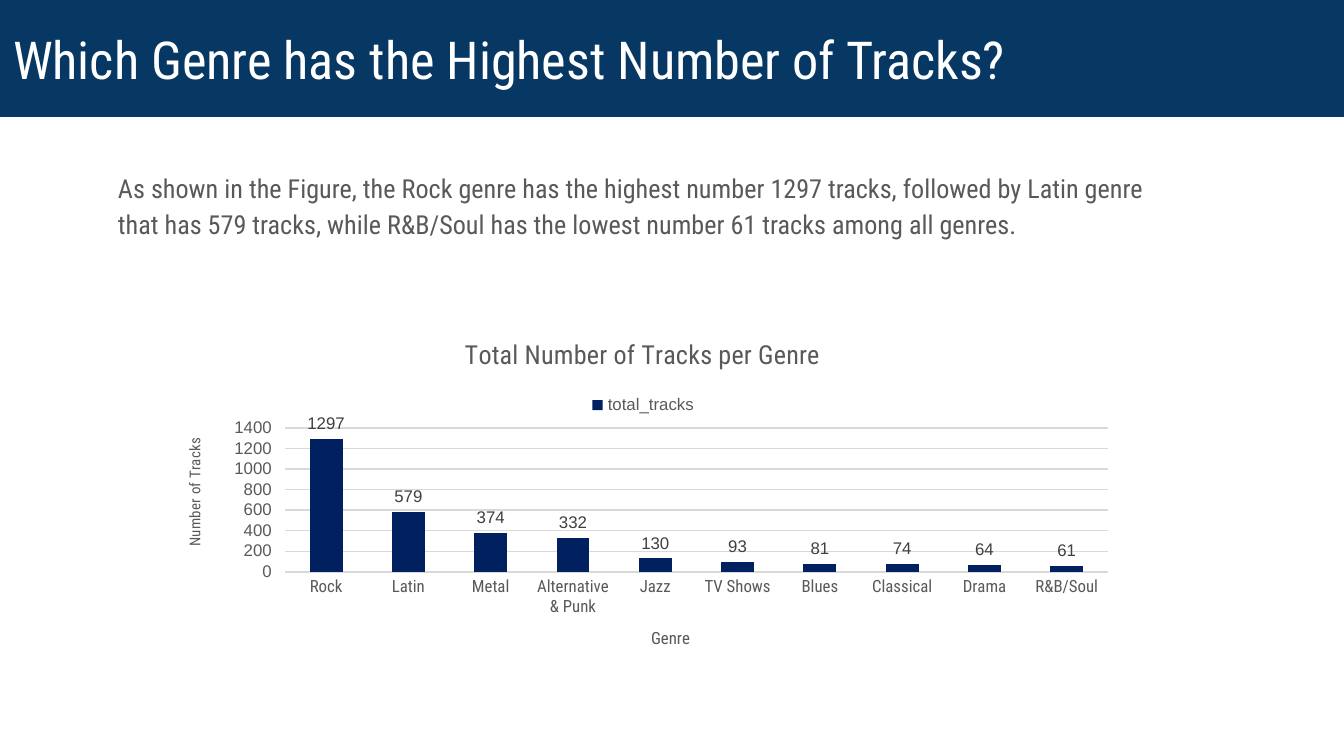
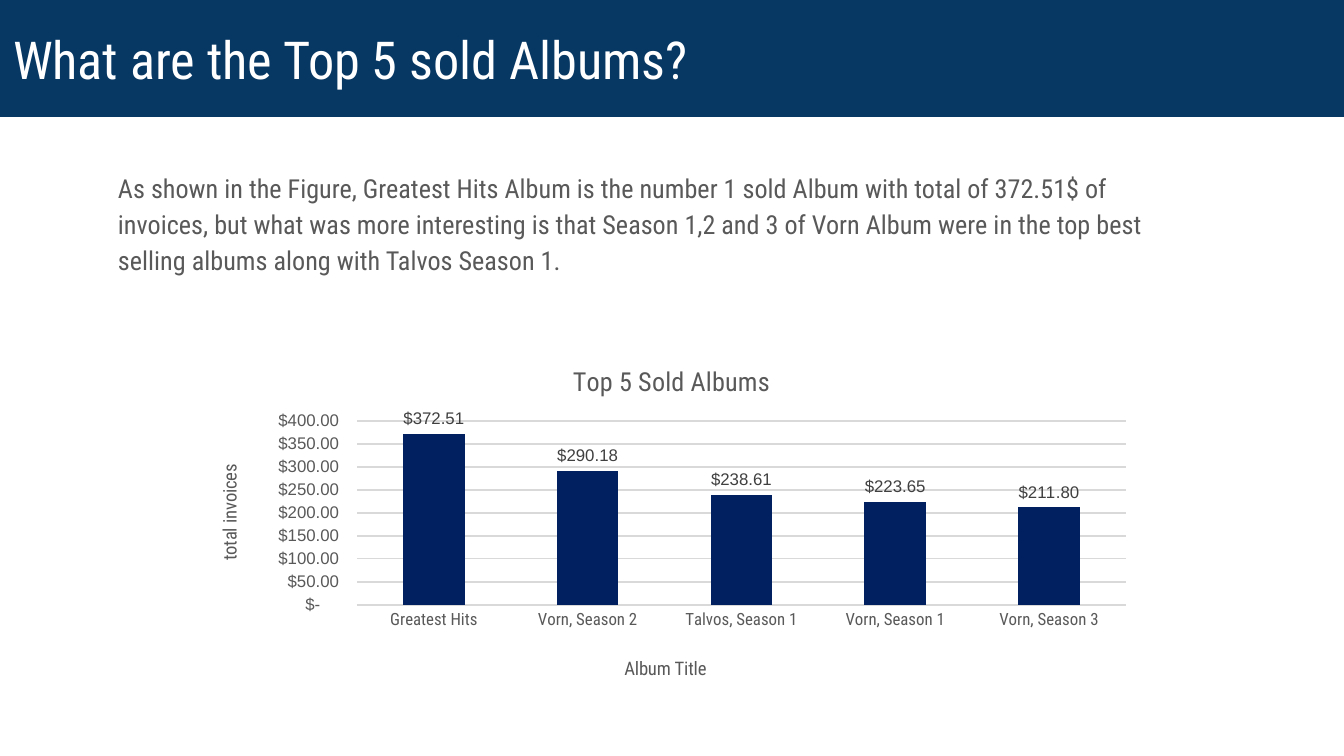
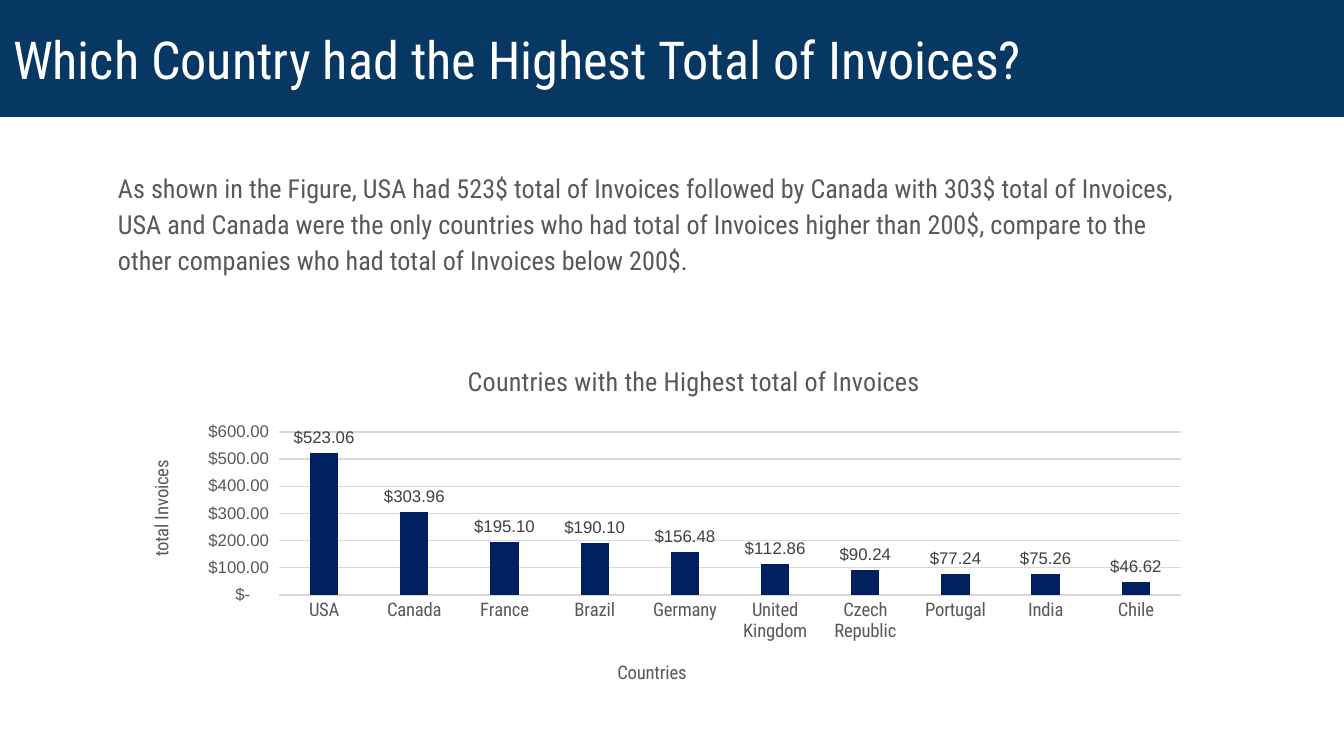
from dataclasses import dataclass
from typing import Optional

from lxml.etree import SubElement
from pptx import Presentation
from pptx.chart.data import CategoryChartData
from pptx.dml.color import RGBColor
from pptx.enum.chart import XL_CHART_TYPE as ChartType
from pptx.enum.chart import XL_LABEL_POSITION as LabelPosition
from pptx.enum.chart import XL_LEGEND_POSITION as LegendPosition
from pptx.enum.chart import XL_TICK_MARK as TickMark
from pptx.enum.text import MSO_ANCHOR as Anchor
from pptx.enum.text import MSO_AUTO_SIZE as AutoSize
from pptx.enum.text import PP_ALIGN as Align
from pptx.oxml.ns import qn
from pptx.util import Emu, Pt

# Shared style
EMU_PER_PIXEL = 914400 / 134.4
SLIDE_WIDTH, SLIDE_HEIGHT = 1344, 756
INSET = 13
BODY_INDENT = 20
COLORS = {
    "band": "073763",
    "title": "FFFFFF",
    "text": "595959",
    "label": "404040",
    "grid": "D9D9D9",
    "bar": "002060",
}
CONDENSED, SANS = "Roboto Condensed", "Arial"
DOLLARS = r'_("$"* #,##0.00_);_("$"* \(#,##0.00\);_("$"* "-"??_);_(@_)'


@dataclass(frozen=True)
class Box:
    left: int
    top: int
    width: int
    height: int


@dataclass(frozen=True)
class Caption:
    text: str
    left: int
    top: int
    size: int = 10


@dataclass(frozen=True)
class ColumnChart:
    frame: Box
    plot: Box
    title: Caption
    category_title: Caption
    value_title: Caption
    values: dict[str, float]
    maximum: int
    unit: int
    series_name: str = "Series 1"
    number_format: str = DOLLARS
    gap: int = 150
    overlap: int = -25
    category_size: int = 9
    value_tick: TickMark = TickMark.OUTSIDE
    legend_at: Optional[tuple[int, int]] = None


@dataclass(frozen=True)
class ChartSlide:
    title: str
    body: str
    chart: ColumnChart


TITLE_BOX = Box(0, 0, SLIDE_WIDTH, 117)
BODY_BOX = Box(85, 155, 1118, 117)


# Helpers
def px(pixels: float) -> Emu:
    return Emu(round(pixels * EMU_PER_PIXEL))


def color(name: str) -> RGBColor:
    return RGBColor.from_string(COLORS[name])


def set_font(font, size: int, color_name: str, name: str = CONDENSED) -> None:
    font.size, font.name, font.bold = Pt(size), name, False
    font.color.rgb = color(color_name)


def fill_placeholder(shape, box: Box, text: str, size: int, color_name: str, anchor: Anchor):
    """Place a placeholder, write its one paragraph and return that paragraph."""
    shape.left, shape.top = px(box.left), px(box.top)
    shape.width, shape.height = px(box.width), px(box.height)
    frame = shape.text_frame
    frame.text = text
    frame.word_wrap, frame.auto_size = True, AutoSize.NONE
    frame.vertical_anchor = anchor
    frame.margin_left = frame.margin_right = px(INSET)
    frame.margin_top = frame.margin_bottom = px(INSET)
    paragraph = frame.paragraphs[0]
    paragraph.alignment = Align.LEFT
    paragraph.space_before = Pt(0)
    set_font(paragraph.font, size, color_name)
    return paragraph


def set_layout(element, frame: Box, left: int, top: int, size: Optional[tuple[int, int]] = None) -> None:
    """Pin a chart part at a slide position, given as a share of the chart frame."""
    layout = element.find(qn("c:layout"))
    if layout is None:
        layout = element.makeelement(qn("c:layout"))
        leading = [child for child in element if child.tag in (qn("c:tx"), qn("c:legendPos"))]
        element.insert(len(leading), layout)
    manual = SubElement(layout, qn("c:manualLayout"))
    settings = {"xMode": "edge", "yMode": "edge"}
    if size:
        settings = {"layoutTarget": "inner"} | settings
    settings["x"] = f"{(left - frame.left) / frame.width:.4f}"
    settings["y"] = f"{(top - frame.top) / frame.height:.4f}"
    if size:
        settings["w"] = f"{size[0] / frame.width:.4f}"
        settings["h"] = f"{size[1] / frame.height:.4f}"
    for tag, value in settings.items():
        SubElement(manual, qn(f"c:{tag}")).set("val", value)


def write_caption(title, caption: Caption, frame: Box) -> None:
    title.text_frame.text = caption.text
    set_font(title.text_frame.paragraphs[0].font, caption.size, "text")
    set_layout(title.element, frame, caption.left, caption.top)


def add_column_chart(slide, design: ColumnChart) -> None:
    data = CategoryChartData(number_format=design.number_format)
    data.categories = list(design.values)
    data.add_series(design.series_name, list(design.values.values()))
    frame, area = design.frame, design.plot
    chart = slide.shapes.add_chart(
        ChartType.COLUMN_CLUSTERED,
        px(frame.left), px(frame.top), px(frame.width), px(frame.height), data,
    ).chart
    chart.font.size, chart.font.name = Pt(10), SANS

    # Titles, plot area and legend
    chart.has_title = True
    write_caption(chart.chart_title, design.title, frame)
    chart.chart_title.include_in_layout = False
    set_layout(chart.element.find(f".//{qn('c:plotArea')}"), frame,
               area.left, area.top, (area.width, area.height))
    chart.has_legend = design.legend_at is not None
    if design.legend_at:
        chart.legend.position = LegendPosition.TOP
        chart.legend.include_in_layout = False
        set_font(chart.legend.font, 9, "text", SANS)
        set_layout(chart.element.find(f".//{qn('c:legend')}"), frame, *design.legend_at)

    # Axes
    categories, values = chart.category_axis, chart.value_axis
    write_caption(categories.axis_title, design.category_title, frame)
    write_caption(values.axis_title, design.value_title, frame)
    rotation = values.axis_title.element.find(f".//{qn('a:bodyPr')}")
    rotation.set("rot", "-5400000")
    rotation.set("vert", "horz")
    set_font(categories.tick_labels.font, design.category_size, "text")
    set_font(values.tick_labels.font, 9, "text", SANS)
    categories.major_tick_mark = TickMark.NONE
    values.major_tick_mark = design.value_tick
    values.minimum_scale, values.maximum_scale = 0, design.maximum
    values.major_unit = design.unit
    values.tick_labels.number_format = design.number_format
    values.tick_labels.number_format_is_linked = False
    values.format.line.fill.background()
    values.has_major_gridlines = True
    for line in (categories.format.line, values.major_gridlines.format.line):
        line.color.rgb = color("grid")
        line.width = Pt(0.75)

    # Columns and their labels
    plot = chart.plots[0]
    plot.vary_by_categories = False
    plot.gap_width, plot.overlap = design.gap, design.overlap
    fill = plot.series[0].format.fill
    fill.solid()
    fill.fore_color.rgb = color("bar")
    plot.has_data_labels = True
    labels = plot.data_labels
    labels.show_value = True
    labels.position = LabelPosition.OUTSIDE_END
    labels.number_format = design.number_format
    labels.number_format_is_linked = False
    set_font(labels.font, 9, "label", SANS)


def add_chart_slide(presentation, content: ChartSlide) -> None:
    slide = presentation.slides.add_slide(presentation.slide_layouts[1])
    title, body = slide.shapes.title, slide.placeholders[1]
    fill_placeholder(title, TITLE_BOX, content.title, 28, "title", Anchor.MIDDLE)
    title.fill.solid()
    title.fill.fore_color.rgb = color("band")

    paragraph = fill_placeholder(body, BODY_BOX, content.body, 14, "text", Anchor.TOP)
    paragraph.line_spacing = 1.15
    properties = paragraph._p.get_or_add_pPr()
    properties.set("marL", str(px(BODY_INDENT)))
    properties.set("indent", "0")
    SubElement(properties, qn("a:buNone"))
    # Bullet settings come before the default run properties
    properties.append(properties.find(qn("a:defRPr")))

    add_column_chart(slide, content.chart)


# Content
SLIDES = [
    ChartSlide(
        "Which Genre has the Highest Number of Tracks?",
        "As shown in the Figure, the Rock genre has the highest number 1297 tracks, "
        "followed by Latin genre that has 579 tracks, while R&B/Soul has the lowest "
        "number 61 tracks among all genres.",
        ColumnChart(
            frame=Box(160, 317, 968, 359),
            plot=Box(285, 428, 823, 144),
            title=Caption("Total Number of Tracks per Genre", 460, 331, 14),
            category_title=Caption("Genre", 648, 624, 9),
            value_title=Caption("Number of Tracks", 182, 435, 8),
            values={
                "Rock": 1297, "Latin": 579, "Metal": 374, "Alternative & Punk": 332,
                "Jazz": 130, "TV Shows": 93, "Blues": 81, "Classical": 74,
                "Drama": 64, "R&B/Soul": 61,
            },
            maximum=1400,
            unit=200,
            series_name="total_tracks",
            number_format="General",
            legend_at=(587, 390),
        ),
    ),
    ChartSlide(
        "What are the Top 5 sold Albums?",
        "As shown in the Figure, Greatest Hits Album is the number 1 sold Album with "
        "total of 372.51$ of invoices, but what was more interesting is that Season 1,2 "
        "and 3 of Vorn Album were in the top best selling albums along with Talvos Season 1.",
        ColumnChart(
            frame=Box(199, 345, 946, 347),
            plot=Box(357, 421, 769, 184),
            title=Caption("Top 5 Sold Albums", 568, 358, 14),
            category_title=Caption("Album Title", 621, 653),
            value_title=Caption("total invoices", 214, 461),
            values={
                "Greatest Hits": 372.51, "Vorn, Season 2": 290.18,
                "Talvos, Season 1": 238.61, "Vorn, Season 1": 223.65,
                "Vorn, Season 3": 211.8,
            },
            maximum=400,
            unit=50,
        ),
    ),
    ChartSlide(
        "Which Country had the Highest Total of Invoices?",
        "As shown in the Figure, USA had 523$ total of Invoices followed by Canada with "
        "303$ total of Invoices, USA and Canada were the only countries who had total of "
        "Invoices higher than 200$, compare to the other companies who had total of "
        "Invoices below 200$.",
        ColumnChart(
            frame=Box(124, 356, 1079, 348),
            plot=Box(279, 432, 902, 163),
            title=Caption("Countries with the Highest total of Invoices", 463, 358, 14),
            category_title=Caption("Countries", 614, 657),
            value_title=Caption("total Invoices", 146, 457),
            values={
                "USA": 523.06, "Canada": 303.96, "France": 195.1, "Brazil": 190.1,
                "Germany": 156.48, "United Kingdom": 112.86, "Czech Republic": 90.24,
                "Portugal": 77.24, "India": 75.26, "Chile": 46.62,
            },
            maximum=600,
            unit=100,
            gap=219,
            overlap=-27,
            category_size=10,
            value_tick=TickMark.NONE,
        ),
    ),
]

# Build
presentation = Presentation()
presentation.slide_width, presentation.slide_height = px(SLIDE_WIDTH), px(SLIDE_HEIGHT)
for content in SLIDES:
    add_chart_slide(presentation, content)
presentation.save("out.pptx")
